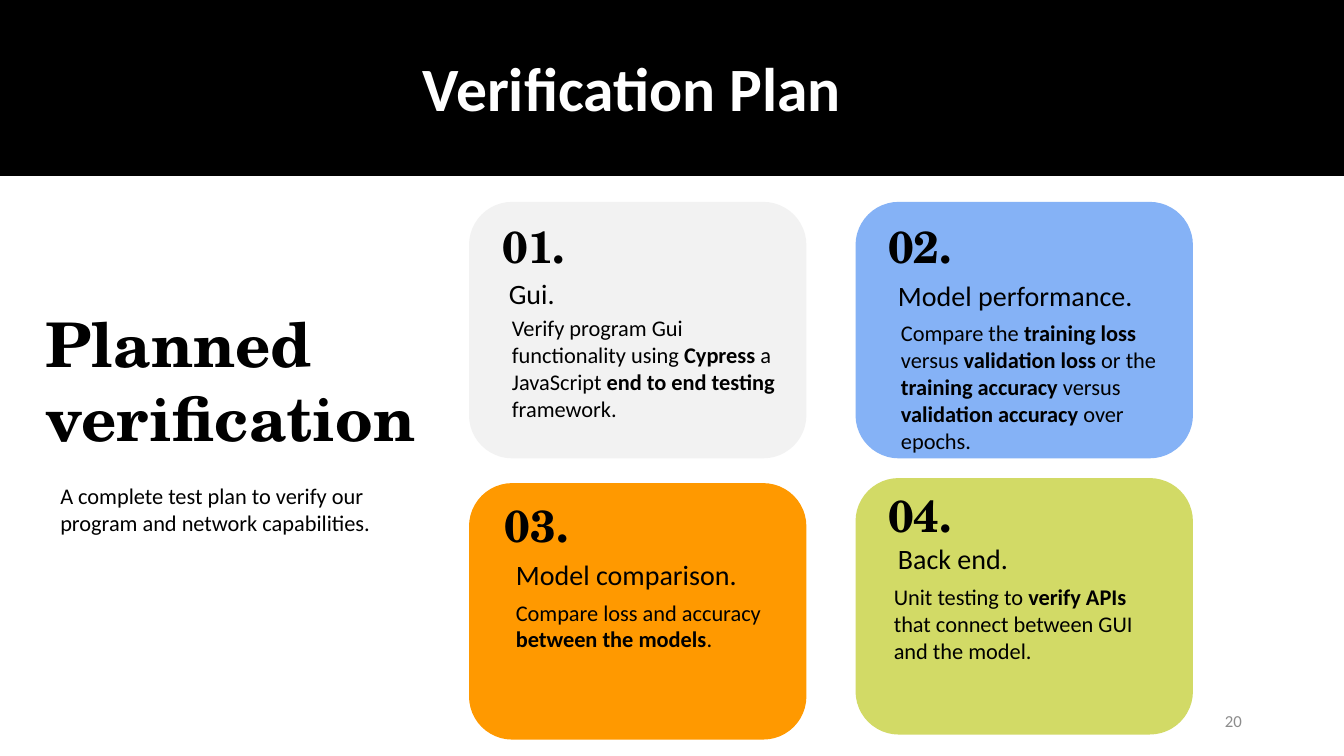
from dataclasses import dataclass
from pptx import Presentation
from pptx.dml.color import RGBColor
from pptx.enum.shapes import MSO_SHAPE
from pptx.enum.text import MSO_ANCHOR, MSO_AUTO_SIZE, PP_ALIGN
from pptx.util import Pt

RECTANGLE, ROUNDED = MSO_SHAPE.RECTANGLE, MSO_SHAPE.ROUNDED_RECTANGLE
LEFT, CENTER, RIGHT = PP_ALIGN.LEFT, PP_ALIGN.CENTER, PP_ALIGN.RIGHT
TOP, MIDDLE = MSO_ANCHOR.TOP, MSO_ANCHOR.MIDDLE
GROW, FIXED = MSO_AUTO_SIZE.SHAPE_TO_FIT_TEXT, MSO_AUTO_SIZE.NONE


@dataclass(frozen=True)
class Theme:
    sans: str = "Calibri"
    serif: str = "TeX Gyre Schola"
    black: str = "000000"
    white: str = "FFFFFF"
    gray: str = "8C8C8C"
    display: int = 44
    number: int = 32
    heading: int = 20
    body: int = 16
    footer: int = 12


THEME = Theme()

TITLE = "Verification Plan"
SECTION = "Planned verification"
SUMMARY = "A complete test plan to verify our program and network capabilities."
PAGE_NUMBER = "20"

CARDS = [
    {
        "color": "F2F2F2", "top": 144.7,
        "number": ("01.", 345, 152.6),
        "heading": ("Gui.", 356.4, 193.7, 72),
        "body": ("Verify program Gui functionality using *Cypress* a JavaScript "
                 "*end to end testing *framework.", 358.6, 221, 208.8, 106.6),
    },
    {
        "color": "85B2F6", "top": 144.7,
        "number": ("02.", 620.8, 152.6),
        "heading": ("Model performance.", 634.3, 195.1, 190.8),
        "body": ("Compare the *training loss *versus *validation loss *or the "
                 "*training accuracy *versus *validation accuracy* over epochs.",
                 636.5, 224.6, 198.7, 126),
    },
    {
        "color": "FF9900", "top": 345.6,
        "number": ("03.", 347, 352.1),
        "heading": ("Model comparison.", 361.4, 394.6, 190.8),
        "body": ("Compare loss and accuracy *between the models*.",
                 361.4, 424.1, 208.8, 67.7),
    },
    {
        "color": "D2DA66", "top": 342,
        "number": ("04.", 620.8, 344.9),
        "heading": ("Back end.", 634.3, 383, 111.6),
        "body": ("Unit testing to *verify APIs *that connect between GUI and the model.",
                 631.4, 413.3, 208.8, 87.1),
    },
]

PAGE_WIDTH, PAGE_HEIGHT = 960, 540
HEADER_HEIGHT = 125.6
CARD_LEFT, CARD_STEP = 335.5, 276.1
CARD_WIDTH, CARD_HEIGHT = 240, 182.2
NUMBER_WIDTH, NUMBER_HEIGHT = 72.7, 46.1
HEADING_HEIGHT = 31.7


def add_block(page, shape_type, left, top, width, height, color):
    block = page.shapes.add_shape(shape_type, Pt(left), Pt(top), Pt(width), Pt(height))
    block.shadow.inherit = False
    block.fill.solid()
    block.fill.fore_color.rgb = RGBColor.from_string(color)
    block.line.color.rgb = RGBColor.from_string(color)
    block.line.width = Pt(1)
    return block


def write_text(box, text, *, size, font=THEME.sans, color=THEME.black, bold=False,
               align=LEFT, anchor=TOP, fit=GROW, spacing=1.0):
    frame = box.text_frame
    frame.word_wrap = True
    frame.auto_size = fit
    frame.vertical_anchor = anchor
    para = frame.paragraphs[0]
    para.alignment = align
    para.line_spacing = spacing
    for index, piece in enumerate(text.split("*")):
        span = para.add_run()
        span.text = piece
        span.font.name = font
        span.font.size = Pt(size)
        span.font.bold = bold or index % 2 == 1
        span.font.color.rgb = RGBColor.from_string(color)


def add_text(page, text, left, top, width, height, **style):
    box = page.shapes.add_textbox(Pt(left), Pt(top), Pt(width), Pt(height))
    write_text(box, text, **style)


def add_header(page):
    header = add_block(page, RECTANGLE, 0, 0, PAGE_WIDTH, HEADER_HEIGHT, THEME.black)
    header.line.fill.background()
    title = page.shapes.title
    title.left, title.top, title.width, title.height = Pt(62), Pt(36), Pt(779), Pt(59)
    write_text(title, TITLE, size=THEME.display, color=THEME.white, bold=True,
               align=CENTER, anchor=MIDDLE, fit=FIXED, spacing=0.9)
    header.element.addnext(title.element)


def add_card(page, index, card):
    left = CARD_LEFT + index % 2 * CARD_STEP
    add_block(page, ROUNDED, left, card["top"], CARD_WIDTH, CARD_HEIGHT, card["color"])
    add_text(page, *card["number"], NUMBER_WIDTH, NUMBER_HEIGHT,
             size=THEME.number, font=THEME.serif, bold=True, align=CENTER)
    add_text(page, *card["heading"], HEADING_HEIGHT, size=THEME.heading)
    add_text(page, *card["body"], size=THEME.body)


def main():
    deck = Presentation()
    deck.slide_width, deck.slide_height = Pt(PAGE_WIDTH), Pt(PAGE_HEIGHT)
    page = deck.slides.add_slide(deck.slide_layouts.get_by_name("Title Only"))
    add_header(page)
    add_text(page, PAGE_NUMBER, 678.2, 500.4, 216, 28.8, size=THEME.footer,
             color=THEME.gray, align=RIGHT, anchor=MIDDLE, fit=FIXED)
    add_text(page, SUMMARY, 36, 340.6, 239.8, 46.1, size=THEME.body)
    add_text(page, SECTION, 25.2, 215.3, 426.2, 113.8, size=THEME.display,
             font=THEME.serif, bold=True)
    for index, card in enumerate(CARDS):
        add_card(page, index, card)
    deck.save("out.pptx")


if __name__ == "__main__":
    main()
